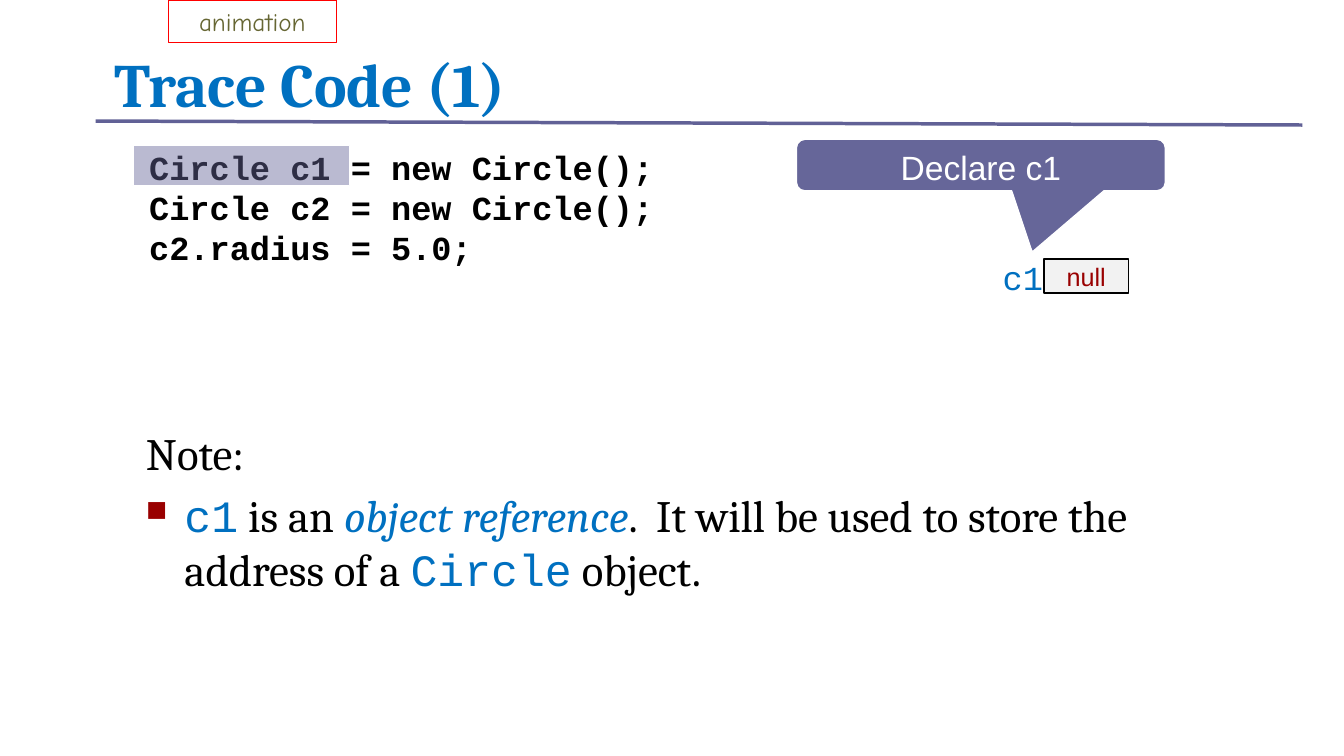
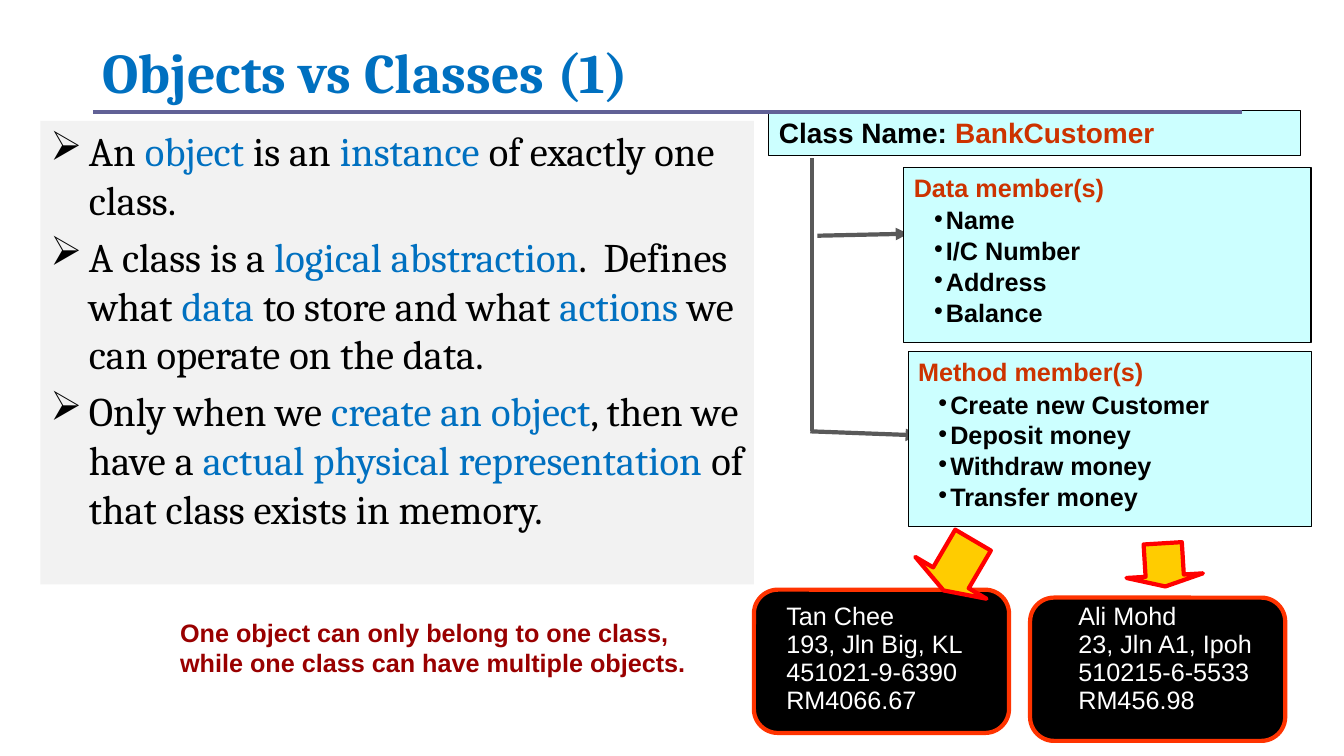
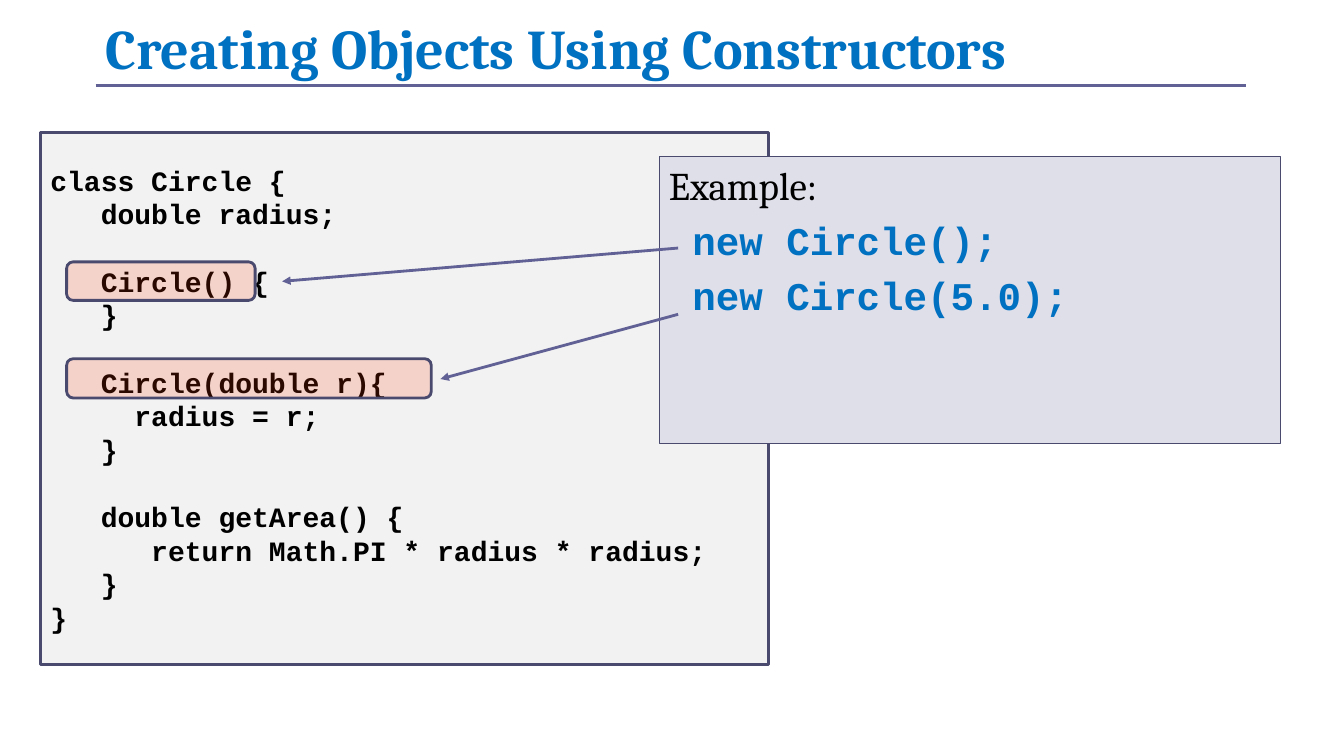
from lxml.etree import SubElement
from pptx import Presentation
from pptx.dml.color import RGBColor
from pptx.enum.shapes import MSO_CONNECTOR, MSO_SHAPE
from pptx.enum.text import MSO_ANCHOR, MSO_AUTO_SIZE, PP_ALIGN
from pptx.oxml.ns import qn
from pptx.util import Cm, Pt

# Shared colours, fonts and text styles
BLACK, WHITE, BLUE, RED = "000000", "FFFFFF", "0070C0", "990000"
PURPLE, RULE, EDGE, GREY = "666699", "616196", "4A4A6F", "F2F2F2"
CYAN, ORANGE, STEM = "CCFFFF", "CC3300", "595959"
SERIF, SANS, MONO = "Cambria", "Arial", "Courier New"
INSETS = (0.25, 0.13, 0.25, 0.13)
KEY = {"color": BLUE}
MONO_KEY = {"color": BLUE, "name": MONO}

# Bullets: character, font, colour, size in percent
ARROWHEAD = ("Ø", "Wingdings", BLACK, 100)
SQUARE = ("n", "Wingdings", RED, 65)
DOT = ("•", SANS, BLACK, 100)

CIRCLE_CLASS = """class Circle {
   double radius;

   Circle() {
   }

   Circle(double r){
     radius = r;
   }

   double getArea() {
      return Math.PI * radius * radius;
   }
}"""


def rgb(value):
    return RGBColor.from_string(value)


def set_all(obj, values):
    for name, value in values.items():
        setattr(obj, name, value)


def style_font(font, color=BLACK, size=18, **values):
    set_all(font, {"name": SANS, "size": Pt(size), **values})
    font.color.rgb = rgb(color)


def add_bullet(p, char, font, color, percent):
    ppr = p._p.get_or_add_pPr()
    SubElement(SubElement(ppr, qn("a:buClr")), qn("a:srgbClr"), val=color)
    SubElement(ppr, qn("a:buSzPct"), val=str(percent * 1000))
    bullet_font = SubElement(ppr, qn("a:buFont"), typeface=font)
    if font == "Wingdings":
        bullet_font.set("pitchFamily", "2")
        bullet_font.set("charset", "2")
    SubElement(ppr, qn("a:buChar"), char=char)


def frame(tf, anchor=MSO_ANCHOR.TOP, insets=INSETS):
    sides = ("margin_left", "margin_top", "margin_right", "margin_bottom")
    set_all(tf, {"word_wrap": True, "auto_size": MSO_AUTO_SIZE.NONE,
                 "vertical_anchor": anchor,
                 **{side: Cm(v) for side, v in zip(sides, insets)}})


def write(tf, runs, align=PP_ALIGN.LEFT, before=0, spacing=1.0, bullet=None,
          margin=0, hang=0, **font):
    """Add one paragraph; a run is a string or a (string, font values) pair."""
    p = tf.paragraphs[0]
    if p.runs:
        p = tf.add_paragraph()
    else:
        before = 0
    set_all(p, {"alignment": align, "space_before": Pt(before),
                "line_spacing": spacing})
    if margin:
        ppr = p._p.get_or_add_pPr()
        ppr.set("marL", str(Cm(margin)))
        ppr.set("indent", str(-Cm(hang)))
    if bullet:
        add_bullet(p, *bullet)
    for run in [runs] if isinstance(runs, str) else runs:
        text, special = (run, {}) if isinstance(run, str) else run
        r = p.add_run()
        r.text = text
        style_font(r.font, **{**font, **special})


def text_box(s, at, **layout):
    sp = s.shapes.add_textbox(*map(Cm, at))
    frame(sp.text_frame, **layout)
    return sp.text_frame


def shape(s, at, fill, line=None, width=1, kind=MSO_SHAPE.RECTANGLE,
          alpha=None, adjust=(), rotation=0, **layout):
    sp = s.shapes.add_shape(kind, *map(Cm, at))
    sp.shadow.inherit = False
    sp.rotation = rotation
    for i, value in enumerate(adjust):
        sp.adjustments[i] = value
    sp.fill.solid()
    sp.fill.fore_color.rgb = rgb(fill)
    if alpha:
        color = sp.element.spPr.find(qn("a:solidFill"))[0]
        SubElement(color, qn("a:alpha"), val=str(alpha * 1000))
    if line:
        sp.line.color.rgb = rgb(line)
        sp.line.width = Pt(width)
    else:
        sp.line.fill.background()
    frame(sp.text_frame, **layout)
    return sp.text_frame


def connector(s, ends, color, width, arrow=False):
    c = s.shapes.add_connector(MSO_CONNECTOR.STRAIGHT, *map(Cm, ends))
    c.line.color.rgb = rgb(color)
    c.line.width = Pt(width)
    if arrow:
        SubElement(c.line._get_or_add_ln(), qn("a:tailEnd"), type="triangle")
    SubElement(c.element.spPr, qn("a:effectLst"))


def heading(s, text, at, rule, size=40, anchor=MSO_ANCHOR.BOTTOM, spacing=0.8):
    title = s.shapes.title
    set_all(title, dict(zip(("left", "top", "width", "height"), map(Cm, at))))
    frame(title.text_frame, anchor)
    write(title.text_frame, text, spacing=spacing, name=SERIF, size=size,
          color=BLUE, bold=True)
    connector(s, rule, RULE, 2.5)


def member_box(s, at, title, members):
    tf = shape(s, at, CYAN, BLACK, 0.75)
    write(tf, title, color=ORANGE, bold=True)
    for member in members:
        write(tf, member, before=9, spacing=0.6, bullet=DOT, margin=0.81,
              hang=0.3, bold=True)


def object_card(s, left, top, insets, lines):
    tf = shape(s, (left, top, 6.43, 3.61), BLACK, "FF3300", 3,
               MSO_SHAPE.ROUNDED_RECTANGLE, adjust=[0.167], insets=insets)
    for line in lines:
        write(tf, line, before=9, spacing=0.5, color=WHITE)


def trace_code(s):
    # Code with the current statement marked
    tf = shape(s, (3, 3.56, 16.05, 3.33), WHITE, insets=(0.76, 0.13, 0.25, 0.13))
    for line in ("Circle c1 = new Circle();", "Circle c2 = new Circle();",
                 "c2.radius = 5.0;"):
        write(tf, line, name=MONO, size=24, bold=True)
    shape(s, (3.35, 3.66, 5.46, 1.02), PURPLE, WHITE, alpha=45)

    # Callout and variable
    tf = shape(s, (20.07, 3.51, 9.3, 1.3), PURPLE, WHITE,
               kind=MSO_SHAPE.ROUNDED_RECTANGULAR_CALLOUT,
               adjust=[0.139, 1.688, 0.167])
    write(tf, "Declare c1", PP_ALIGN.CENTER, size=24, color=WHITE)
    tf = shape(s, (26.31, 6.53, 2.13, 0.86), GREY, BLACK,
               anchor=MSO_ANCHOR.MIDDLE, insets=(0.03,) * 4)
    write(tf, "null", PP_ALIGN.CENTER, color=RED)
    tf = text_box(s, (25.02, 6.35, 1.52, 1.27), insets=(0.25, 0.13, 0, 0.13))
    write(tf, "c1", size=24, **MONO_KEY)

    # Tag and note
    tf = shape(s, (4.24, 0, 4.24, 1.07), WHITE, "FF0000",
               anchor=MSO_ANCHOR.MIDDLE)
    write(tf, "animation", PP_ALIGN.CENTER, name="Comic Neue", color="666633")
    tf = text_box(s, (3.43, 10.59, 28.37, 5.16))
    write(tf, "Note:", name=SERIF, size=32)
    write(tf, [("c1", MONO_KEY), " is an ",
               ("object reference", {**KEY, "italic": True}),
               ".  It will be used to store the address of a ",
               ("Circle", MONO_KEY), " object."],
          before=6.4, bullet=SQUARE, margin=0.97, hang=0.97,
          name=SERIF, size=32)
    heading(s, "Trace Code (1)", (2.64, 1.45, 28.37, 1.7),
            (2.41, 3.05, 32.82, 3.15), size=44)


def objects_vs_classes(s):
    # Definitions
    tf = shape(s, (1.02, 3.05, 17.98, 11.68), GREY)
    for runs in (
            ["An ", ("object ", KEY), "is an ", ("instance ", KEY),
             "of exactly one class."],
            ["A class is a ", ("logical abstraction", KEY),
             ".  Defines what ", ("data ", KEY), "to store and what ",
             ("actions ", KEY), "we can operate on the data."],
            ["Only when we ", ("create an object", KEY), ", then we have a ",
             ("actual physical representation ", KEY),
             "of that class exists in memory."]):
        write(tf, runs, before=5.8, bullet=ARROWHEAD, margin=0.97, hang=0.97,
              name=SERIF, size=29)

    # Two objects of the class
    object_card(s, 19, 14.86, (0.64, 0.43, 0, 0),
                ("Tan Chee", "193, Jln Big, KL", "451021-9-6390", "RM4066.67"))
    object_card(s, 25.96, 15.06, (1.04, 0.23, 0, 0),
                ("Ali Mohd", "23, Jln A1, Ipoh", "510215-6-5533", "RM456.98"))
    for at, rotation in (((23.11, 13.51, 2.08, 1.47), 30.4),
                         ((28.37, 13.69, 1.93, 1.09), 356.5)):
        shape(s, at, "FFCC00", "FF0000", 3, MSO_SHAPE.DOWN_ARROW,
              adjust=[0.5, 0.25], rotation=rotation)

    # Class diagram
    tf = shape(s, (19.38, 2.79, 13.39, 1.12), CYAN, BLACK, 0.75)
    write(tf, ["Class Name: ", ("BankCustomer", {"color": ORANGE})],
          size=20, bold=True)
    connector(s, (20.47, 3.99, 20.47, 10.85), STEM, 3)
    connector(s, (20.6, 5.94, 22.89, 5.89), STEM, 3, arrow=True)
    connector(s, (20.42, 10.87, 23.14, 10.97), STEM, 3, arrow=True)
    member_box(s, (22.78, 4.22, 10.26, 4.42), "Data member(s)",
               ("Name", "I/C Number", "Address", "Balance"))
    member_box(s, (22.89, 8.86, 10.16, 4.42), "Method member(s)",
               ("Create new Customer", "Deposit money", "Withdraw money",
                "Transfer money"))

    # Remark
    tf = text_box(s, (4.29, 15.42, 13.44, 1.8))
    write(tf, "One object can only belong to one class, while one class "
              "can have multiple objects.", color=RED, bold=True)
    heading(s, "Objects vs Classes (1)", (2.34, 0.89, 23.5, 1.78),
            (2.34, 2.82, 31.29, 2.82), anchor=MSO_ANCHOR.MIDDLE, spacing=1.0)


def constructors(s):
    # Class code: an empty line becomes space before the next one
    tf = shape(s, (1.02, 3.35, 18.34, 13.39), GREY, EDGE, 2,
               anchor=MSO_ANCHOR.MIDDLE)
    gap = 0
    for line in CIRCLE_CLASS.splitlines():
        if line:
            write(tf, line, before=gap, name=MONO, size=20, bold=True)
        gap = 0 if line else 24

    # Example calls
    tf = shape(s, (16.61, 3.94, 15.67, 7.24), "DFDFEA", EDGE, 0.75)
    write(tf, "Example:", name=SERIF, size=28)
    for call in ("new Circle();", "new Circle(5.0);"):
        write(tf, call, before=5.6, margin=0.59, size=28, bold=True, **MONO_KEY)

    # Marked constructors, each with the call that uses it
    for at, alpha, ends in (
            ((1.68, 6.6, 4.75, 0.97), 16, (17.09, 6.25, 7.11, 7.09)),
            ((1.68, 9.04, 9.19, 0.99), 17, (17.09, 7.92, 11.1, 9.55))):
        shape(s, at, "FF3300", EDGE, 2, MSO_SHAPE.ROUNDED_RECTANGLE,
              alpha=alpha, adjust=[0.167])
        connector(s, ends, RULE, 2, arrow=True)
    heading(s, "Creating Objects Using Constructors", (2.41, 0.05, 23.8, 2.11),
            (2.41, 2.16, 31.39, 2.16))


def main():
    prs = Presentation()
    prs.slide_width, prs.slide_height = Cm(33.87), Cm(19.05)
    title_only = prs.slide_layouts[5]
    for build in (trace_code, objects_vs_classes, constructors):
        build(prs.slides.add_slide(title_only))
    prs.save("out.pptx")


if __name__ == "__main__":
    main()
